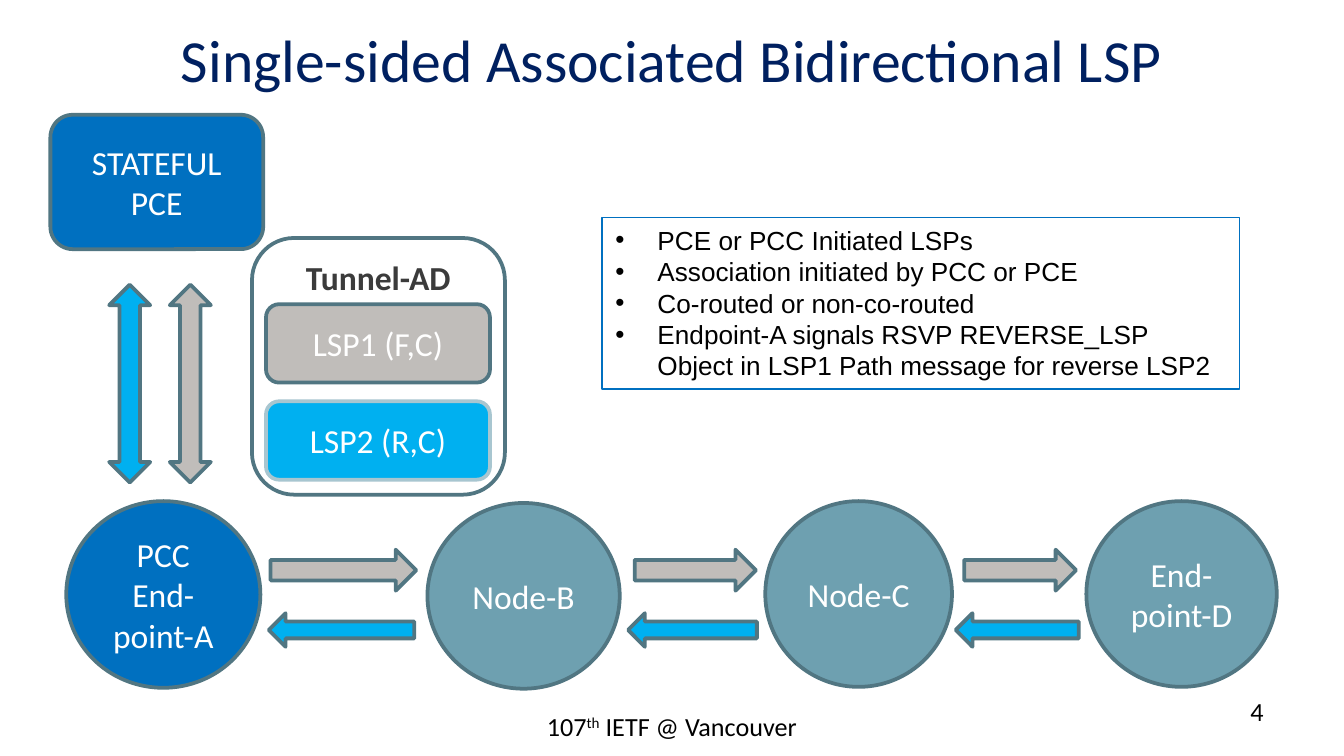
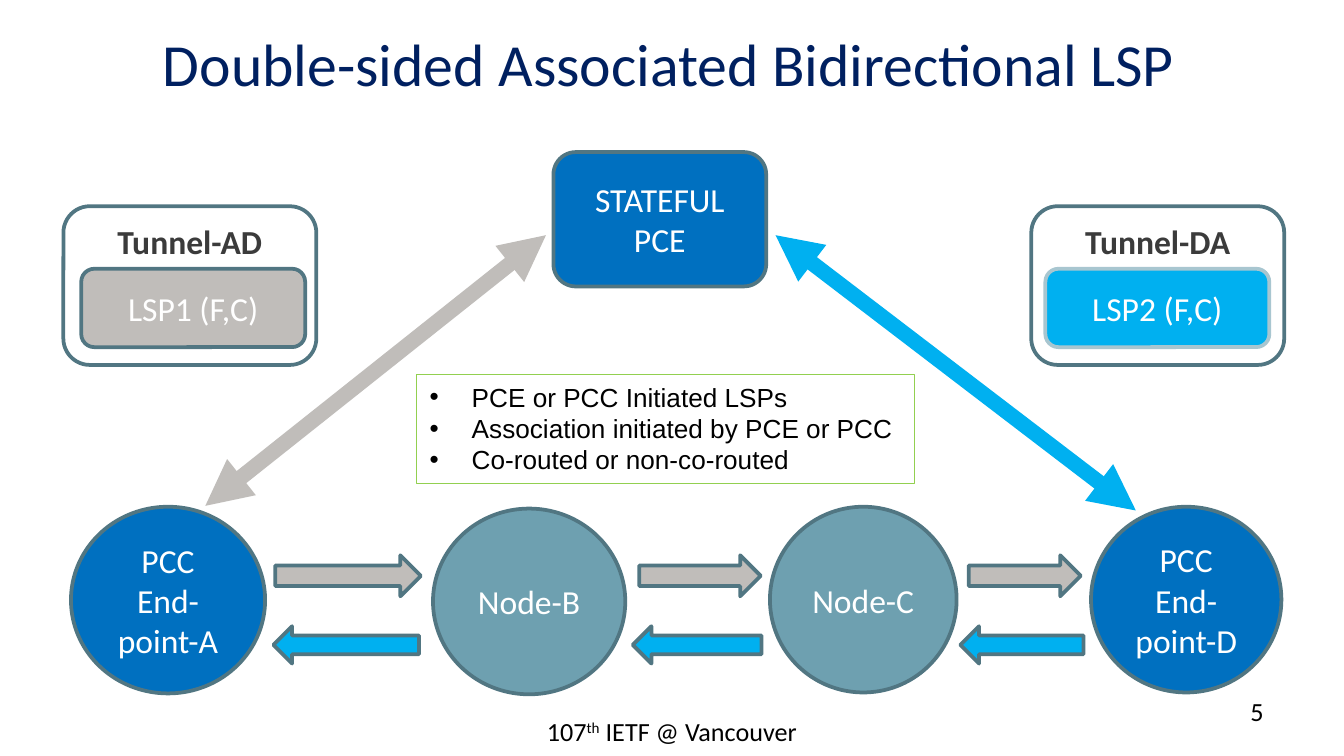
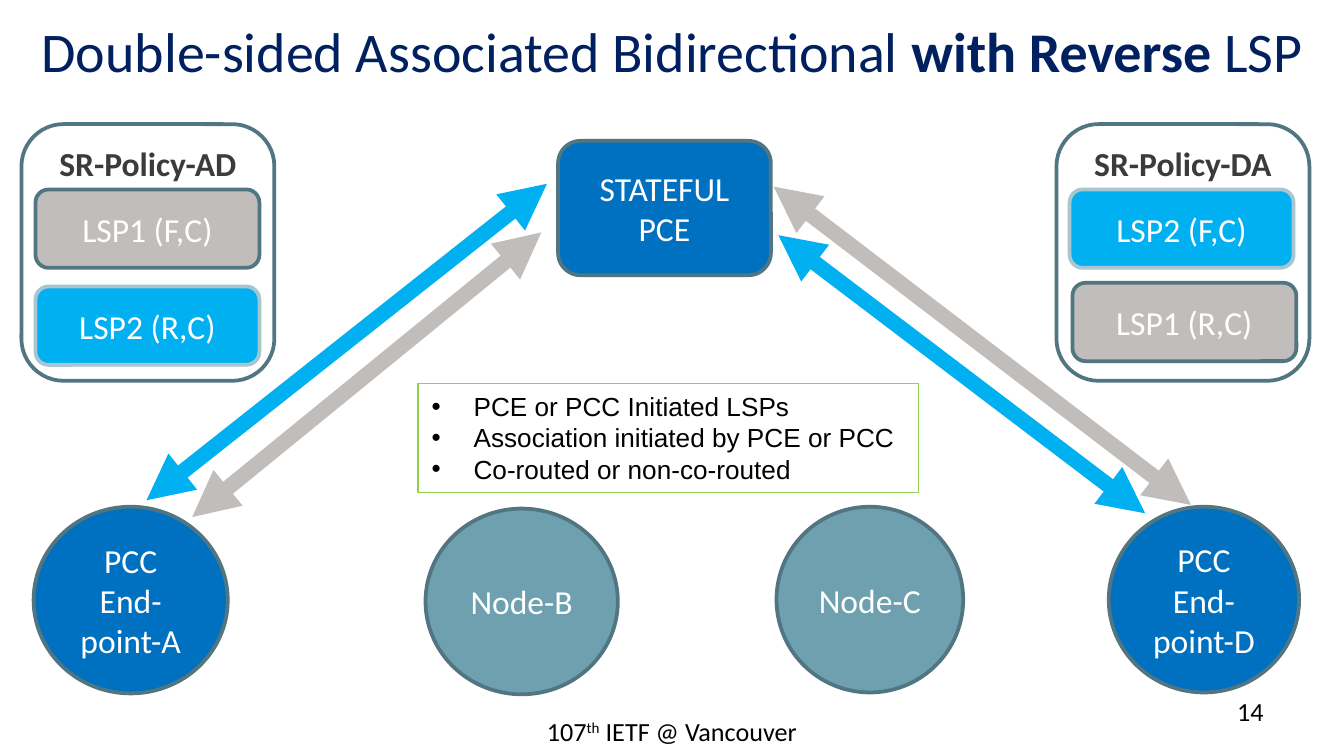
from lxml import etree
from pptx import Presentation
from pptx import util as u
from pptx.dml.color import RGBColor
from pptx.enum import shapes, text
from pptx.oxml import ns

# Shared style
COLORS = {
    "white": "FFFFFF", "black": "000000", "navy": "002060", "label": "3B3B3B",
    "pce": "0070C0", "node": "6EA0B0", "forward": "C0BDBA", "reverse": "00B0F0",
    "outline": "517682", "pale": "A8C6D0", "green": "92D050",
}
LSP_OUTLINES = {"forward": "outline", "reverse": "pale"}
SHAPE = shapes.MSO_SHAPE
ALIGN = text.PP_ALIGN
TITLE_FONT = {"name": "Calibri", "color": "navy"}
SHAPE_FONT = {"name": "Calibri", "size": 18, "color": "white"}
LABEL_FONT = {**SHAPE_FONT, "color": "label", "bold": True}
FOOTER_FONT = {"name": "Calibri", "size": 14, "color": "black"}
LIST_FONT = {"name": "Arial", "size": 14, "color": "black"}

# Sizes in points
SLIDE_WIDTH, SLIDE_HEIGHT = 720, 405
PCE_SIZE = (114, 72)
LSP_SIZE = (120, 42)
POLICY_WIDTH = 135.5
NODE_SIZES = [(104, 100), (103, 99.5), (100, 99.5), (102, 99.5)]
NODE_DROPS = [0, 1, 0, 0]
LIST_INDENT = 22.5
# Arrows between nodes: offset from the first node, width
HOPS = {
    "forward": (SHAPE.RIGHT_ARROW, [(109.5, 78), (304.5, 65), (481, 60)]),
    "reverse": (SHAPE.LEFT_ARROW, [(108.5, 78), (301, 69), (476.5, 66)]),
}

# Content
FOOTER = [("107", {}), ("th", {"baseline": 30000}), (" IETF @ Vancouver", {})]
COMMON_POINTS = ["PCE or PCC Initiated LSPs", "Association initiated by PCE or PCC",
                 "Co-routed or non-co-routed"]
SLIDES = [
    {
        "title": [("Single-sided Associated Bidirectional LSP", {})],
        "title_box": (0, 0.5, 720, 62), "title_size": 32,
        "number": "4", "footer_top": 377, "pce": (27, 61.5),
        "nodes": [("PCC End-point-A", 35.5, "pce"), ("Node-B", 229, "node"),
                  ("Node-C", 410, "node"), ("End-point-D", 582, "node")],
        "node_top": 268.5,
        # top and height of each row of arrows
        "hops": {"forward": (294.5, 22), "reverse": (328.5, 18)},
        "policies": [("Tunnel-AD", 135, 127.5, 137.5,
                      [("LSP1 (F,C)", 142.5, 163, "forward"),
                       ("LSP2 (R,C)", 142.5, 215, "reverse")])],
        "vertical_arrows": [("forward", 91), ("reverse", 58.5)],
        "sessions": [],
        "points": ["PCE or PCC Initiated LSPs", "Association initiated by PCC or PCE",
                   "Co-routed or non-co-routed",
                   "Endpoint-A signals RSVP REVERSE_LSP Object in LSP1 Path message "
                   "for reverse LSP2"],
        "list_box": (322.5, 116.5, 341.5, 92), "list_line": "pce",
    },
    {
        "title": [("Double-sided Associated Bidirectional LSP", {})],
        "title_box": (-1.5, 0, 720, 67.5), "title_size": 32,
        "number": "5", "footer_top": 379.5, "pce": (296.5, 81.5),
        "nodes": [("PCC End-point-A", 38, "pce"), ("Node-B", 232, "node"),
                  ("Node-C", 412.5, "node"), ("PCC End-point-D", 584.5, "pce")],
        "node_top": 271.5,
        "hops": {"forward": (297.5, 22), "reverse": (335.5, 20)},
        "policies": [("Tunnel-DA", 552.5, 110.5, 85, [("LSP2 (F,C)", 560, 144, "reverse")]),
                     ("Tunnel-AD", 34, 110.5, 85, [("LSP1 (F,C)", 43.5, 144, "forward")])],
        "vertical_arrows": [],
        "sessions": [("forward", 292.5, 126, 110, 271), ("reverse", 415.5, 126, 608.5, 273.5)],
        "points": COMMON_POINTS,
        "list_box": (223, 200.5, 267, 58.5), "list_line": "green",
    },
    {
        "title": [("Double-sided Associated Bidirectional ", {}),
                  ("with Reverse ", {"bold": True}), ("LSP", {})],
        "title_box": (0, -7, 720, 67.5), "title_size": 30,
        "number": "14", "footer_top": 379.5, "pce": (299, 75.5),
        "nodes": [("PCC End-point-A", 18, "pce"), ("Node-B", 228, "node"),
                  ("Node-C", 416, "node"), ("PCC End-point-D", 594, "pce")],
        "node_top": 271.5,
        "hops": {},
        "policies": [("SR-Policy-AD", 11.5, 66.5, 137.5,
                      [("LSP1 (F,C)", 19, 101.5, "forward"),
                       ("LSP2 (R,C)", 19, 153.5, "reverse")]),
                     ("SR-Policy-DA", 566, 66.5, 137.5,
                      [("LSP1 (R,C)", 574.5, 151.5, "forward"),
                       ("LSP2 (F,C)", 573, 101.5, "reverse")])],
        "vertical_arrows": [],
        "sessions": [("forward", 290, 124.5, 103, 277), ("reverse", 417, 126, 613.5, 275),
                     ("reverse", 78.5, 268, 293, 98.5), ("forward", 638, 270.5, 414.5, 100)],
        "points": COMMON_POINTS,
        "list_box": (224, 205.5, 268, 58.5), "list_line": "green",
    },
]


def rgb(name):
    return RGBColor.from_string(COLORS[name])


def add_run(paragraph, words, formats):
    run = paragraph.add_run()
    run.text = words
    for key, value in formats.items():
        if key == "color":
            run.font.color.rgb = rgb(value)
        elif key == "baseline":
            run._r.get_or_add_rPr().set("baseline", str(value))
        else:
            setattr(run.font, key, u.Pt(value) if key == "size" else value)


def place(shape, box):
    for key, value in zip(("left", "top", "width", "height"), box):
        setattr(shape, key, u.Pt(value))


def add_block(slide, kind, box, fill, line="outline", words="", font=SHAPE_FONT,
              anchor=text.MSO_ANCHOR.MIDDLE):
    shape = slide.shapes.add_shape(kind, *map(u.Pt, box))
    shape.shadow.inherit = False
    shape.fill.solid()
    shape.fill.fore_color.rgb = rgb(fill)
    shape.line.color.rgb = rgb(line)
    shape.line.width = u.Pt(2)
    if words:
        shape.text_frame.vertical_anchor = anchor
        paragraph = shape.text_frame.paragraphs[0]
        paragraph.alignment = ALIGN.CENTER
        add_run(paragraph, words, font)


def add_text(slide, box, runs, alignment):
    frame = slide.shapes.add_textbox(*map(u.Pt, box)).text_frame
    frame.word_wrap = True
    frame.paragraphs[0].alignment = alignment
    for words, extra in runs:
        add_run(frame.paragraphs[0], words, {**FOOTER_FONT, **extra})


def add_session(slide, color, *ends):
    """Thick line with an arrowhead at both ends."""
    connector = slide.shapes.add_connector(shapes.MSO_CONNECTOR.STRAIGHT, *map(u.Pt, ends))
    connector.line.color.rgb = rgb(color)
    connector.line.width = u.Pt(8.25)
    for tag in ("a:headEnd", "a:tailEnd"):
        etree.SubElement(connector.line._get_or_add_ln(), ns.qn(tag), type="triangle")
    etree.SubElement(connector._element.spPr, ns.qn("a:effectLst"))


def fill_title(shape, content):
    place(shape, content["title_box"])
    frame = shape.text_frame
    frame.auto_size = text.MSO_AUTO_SIZE.NONE
    frame.vertical_anchor = text.MSO_ANCHOR.MIDDLE
    paragraph = frame.paragraphs[0]
    paragraph.alignment = ALIGN.CENTER
    for words, extra in content["title"]:
        add_run(paragraph, words, {**TITLE_FONT, "size": content["title_size"], **extra})


def fill_list(shape, content):
    place(shape, content["list_box"])
    shape.line.color.rgb = rgb(content["list_line"])
    shape.line.width = u.Pt(0.75)
    frame = shape.text_frame
    frame.auto_size = text.MSO_AUTO_SIZE.NONE
    frame.vertical_anchor = text.MSO_ANCHOR.TOP
    for index, point in enumerate(content["points"]):
        paragraph = frame.add_paragraph() if index else frame.paragraphs[0]
        paragraph.space_before = u.Pt(0)
        properties = paragraph._p.get_or_add_pPr()
        properties.set("marL", str(u.Pt(LIST_INDENT)))
        properties.set("indent", str(-u.Pt(LIST_INDENT)))
        etree.SubElement(properties, ns.qn("a:buFont"), typeface="Arial")
        etree.SubElement(properties, ns.qn("a:buChar"), char="•")
        add_run(paragraph, point, LIST_FONT)


presentation = Presentation()
presentation.slide_width = u.Pt(SLIDE_WIDTH)
presentation.slide_height = u.Pt(SLIDE_HEIGHT)

for content in SLIDES:
    slide = presentation.slides.add_slide(presentation.slide_layouts[1])
    fill_title(slide.shapes.title, content)
    fill_list(slide.placeholders[1], content)

    # Tunnels or policies with their LSPs
    for label, left, top, height, lsps in content["policies"]:
        add_block(slide, SHAPE.ROUNDED_RECTANGLE, (left, top, POLICY_WIDTH, height), "white",
                  words=label, font=LABEL_FONT, anchor=text.MSO_ANCHOR.TOP)
        for words, lsp_left, lsp_top, kind in lsps:
            add_block(slide, SHAPE.ROUNDED_RECTANGLE, (lsp_left, lsp_top, *LSP_SIZE), kind,
                      LSP_OUTLINES[kind], words)

    # Controller and row of nodes
    add_block(slide, SHAPE.ROUNDED_RECTANGLE, (*content["pce"], *PCE_SIZE), "pce",
              words="STATEFUL PCE")
    for (words, left, color), size, drop in zip(content["nodes"], NODE_SIZES, NODE_DROPS):
        add_block(slide, SHAPE.OVAL, (left, content["node_top"] + drop, *size), color,
                  words=words)

    # Arrows between nodes, and between nodes and controller
    row_left = content["nodes"][0][1]
    for direction, (top, height) in content["hops"].items():
        kind, spans = HOPS[direction]
        for offset, width in spans:
            add_block(slide, kind, (row_left + offset, top, width, height), direction)
    for direction, left in content["vertical_arrows"]:
        add_block(slide, SHAPE.UP_DOWN_ARROW, (left, 152.5, 22, 106), direction)
    for session in content["sessions"]:
        add_session(slide, *session)

    # Footer and slide number
    add_text(slide, (246, content["footer_top"], 228, 28), FOOTER, ALIGN.CENTER)
    add_text(slide, (516, 369, 168, 28), [(content["number"], {})], ALIGN.RIGHT)

presentation.save("out.pptx")
